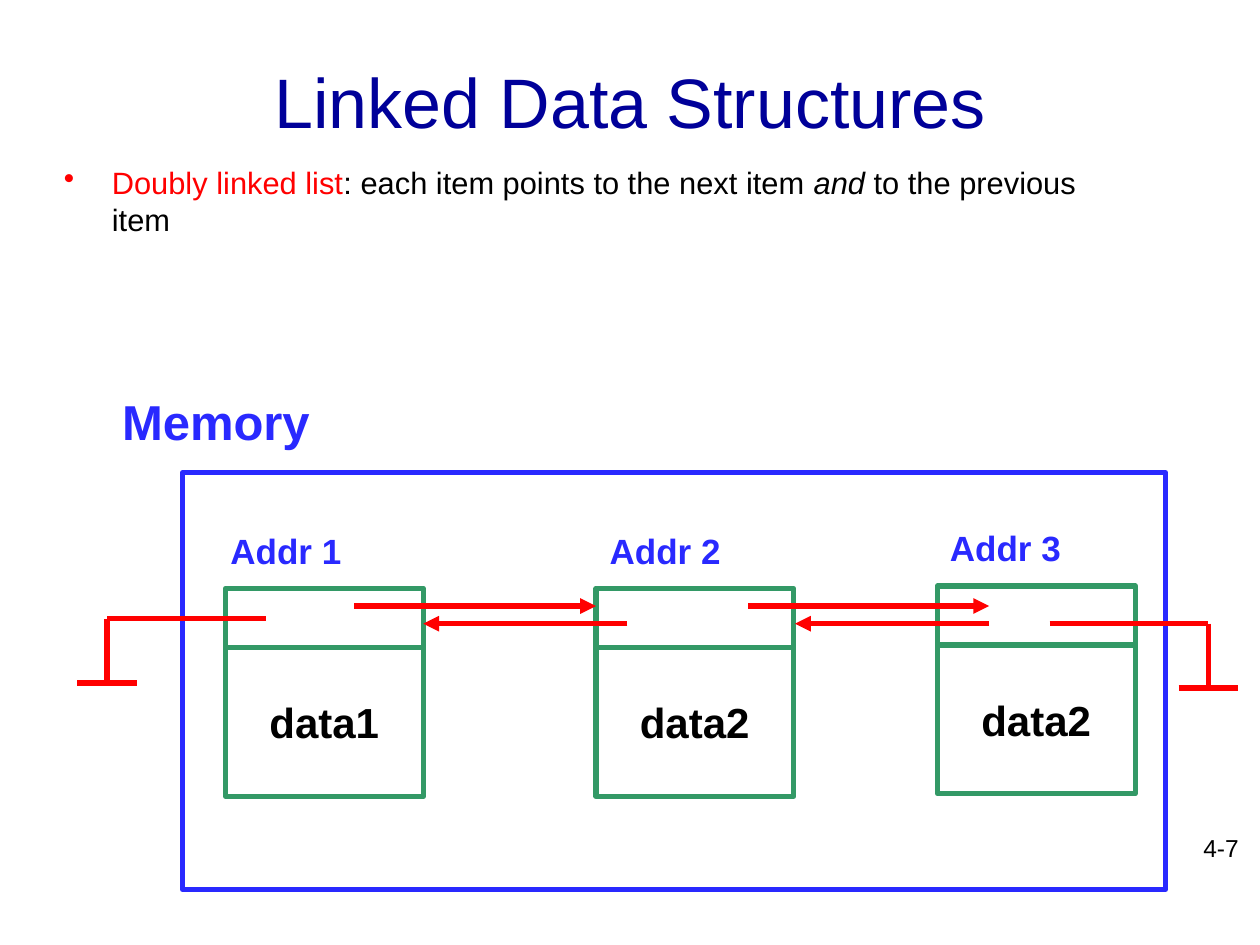
from pptx import Presentation
from pptx.dml.color import RGBColor
from pptx.enum.shapes import MSO_CONNECTOR, MSO_SHAPE
from pptx.enum.text import MSO_ANCHOR, PP_ALIGN
from pptx.oxml.ns import qn
from pptx.util import Inches, Pt
from lxml import etree

LINE = MSO_CONNECTOR.STRAIGHT
RECT = MSO_SHAPE.RECTANGLE
MID = MSO_ANCHOR.MIDDLE
LEFT, MIDDLE, RIGHT = PP_ALIGN.LEFT, PP_ALIGN.CENTER, PP_ALIGN.RIGHT


class Theme:
    font = "Arial"
    navy = RGBColor(0x00, 0x00, 0x99)
    blue = RGBColor(0x29, 0x29, 0xFF)
    green = RGBColor(0x33, 0x99, 0x66)
    red = RGBColor(0xFF, 0x00, 0x00)
    black = RGBColor(0x00, 0x00, 0x00)
    title = {"size": Pt(40)}
    body = {"size": Pt(17.6)}
    head = {"size": Pt(28), "bold": True}
    addr = {"size": Pt(20), "bold": True}
    data = {"size": Pt(24), "bold": True}
    page = {"size": Pt(14)}
    stroke = Pt(3)


def add_run(para, text, color, style):
    run = para.add_run()
    run.text = text
    for name, value in {"name": Theme.font, **style}.items():
        setattr(run.font, name, value)
    run.font.color.rgb = color


def add_text(slide, area, runs, style, align=LEFT, wrap=True):
    """Each run is a text, a colour and any extra font values."""
    box = slide.shapes.add_textbox(*map(Inches, area))
    frame = box.text_frame
    frame.word_wrap = wrap
    para = frame.paragraphs[0]
    para.alignment = align
    for text, color, extra in runs:
        add_run(para, text, color, {**style, **extra})
    return frame


def add_label(slide, area, text, color, style):
    add_text(slide, area, [(text, color, {})], style, wrap=False)


def add_bullet(para, color):
    props = para._p.get_or_add_pPr()
    props.set("marL", str(Inches(0.38)))
    props.set("indent", str(-Inches(0.38)))
    paint = etree.SubElement(props, qn("a:buClr"))
    etree.SubElement(paint, qn("a:srgbClr")).set("val", str(color))
    etree.SubElement(props, qn("a:buChar")).set("char", "•")


def add_frame(slide, area, color):
    box = slide.shapes.add_shape(RECT, *map(Inches, area))
    box.shadow.inherit = False
    box.fill.background()
    box.line.color.rgb = color
    box.line.width = Theme.stroke


def add_line(shapes, start, end, color, arrow=False):
    line = shapes.add_connector(LINE, *map(Inches, (*start, *end)))
    line.line.color.rgb = color
    line.line.width = Theme.stroke
    props = line._element.spPr
    if arrow:
        tip = etree.SubElement(props.find(qn("a:ln")), qn("a:tailEnd"))
        tip.set("type", "triangle")
    etree.SubElement(props, qn("a:effectLst"))


def add_node(slide, x, y, text):
    wide = 1.57
    add_frame(slide, (x, y, wide, 1.65), Theme.green)
    add_line(slide.shapes, (x, y + 0.47), (x + wide, y + 0.47), Theme.green)
    add_label(slide, (x + 0.25, y + 0.81, 1.07, 0.5), text,
              Theme.black, Theme.data)


def add_null(slide, start, x):
    """Wire from a link field out to x, then down to a ground bar."""
    y = start[1]
    base = y + 0.51
    group = slide.shapes.add_group_shape()
    for a, b in ((start, (x, y)), ((x, y), (x, base)),
                 ((x - 0.235, base), (x + 0.235, base))):
        add_line(group.shapes, a, b, Theme.red)


def main():
    deck = Presentation()
    deck.slide_width, deck.slide_height = Inches(10), Inches(7.5)
    slide = deck.slides.add_slide(deck.slide_layouts[6])

    # Title, statement and page number
    title = add_text(slide, (0.75, 0.17, 8.5, 1.25),
                     [("Linked Data Structures", Theme.navy, {})],
                     Theme.title, MIDDLE)
    title.vertical_anchor = MID
    body = add_text(slide, (0.41, 1.25, 8.5, 1.22), [
        ("Doubly linked list", Theme.red, {}),
        (": each item points to the next item ", Theme.black, {}),
        ("and", Theme.black, {"italic": True}),
        (" to the previous item", Theme.black, {}),
    ], Theme.body)
    add_bullet(body.paragraphs[0], Theme.red)
    add_text(slide, (7.85, 6.56, 2.08, 0.5), [("4-7", Theme.black, {})],
             Theme.page, RIGHT)

    # Memory frame
    add_frame(slide, (1.45, 3.75, 7.8, 3.31), Theme.blue)
    add_label(slide, (0.87, 3.06, 1.69, 0.57), "Memory",
              Theme.blue, Theme.head)

    # List items with their addresses
    nodes = ((1.79, 4.67, "data1", 1.73), (4.73, 4.67, "data2", 4.74),
             (7.44, 4.65, "data2", 7.44))
    for num, (x, y, text, left) in enumerate(nodes, 1):
        add_node(slide, x, y, text)
        add_label(slide, (left, y - 0.52, 1.08, 0.44), f"Addr {num}",
                  Theme.blue, Theme.addr)

    # Links to the next and the previous item
    links = ((4.81, 2.81, 4.73), (4.81, 5.94, 7.85),
             (4.95, 7.85, 6.31), (4.95, 4.98, 3.36))
    for y, start, end in links:
        add_line(slide.shapes, (start, y), (end, y), Theme.red, arrow=True)

    # Null links at both ends
    add_null(slide, (8.33, 4.95), 9.59)
    add_null(slide, (2.11, 4.91), 0.85)

    deck.save("out.pptx")


if __name__ == "__main__":
    main()
